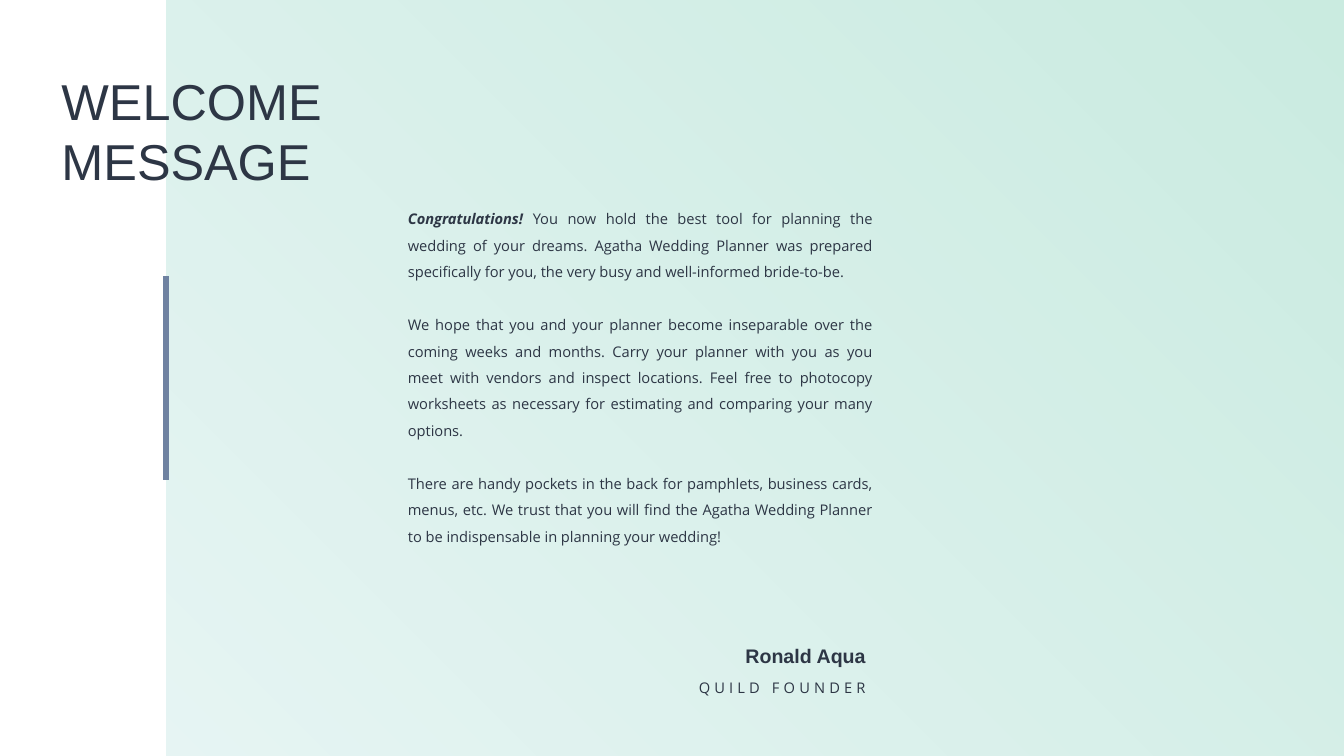
from dataclasses import dataclass

from lxml.etree import SubElement
from pptx import Presentation
from pptx.dml.color import RGBColor
from pptx.enum.shapes import MSO_CONNECTOR as Connector, MSO_SHAPE as Shape
from pptx.enum.text import PP_ALIGN as Align
from pptx.oxml.ns import qn
from pptx.slide import Slide
from pptx.util import Cm, Pt


@dataclass(frozen=True)
class Theme:
    ink: RGBColor = RGBColor(0x2D, 0x36, 0x45)
    accent: RGBColor = RGBColor(0x6F, 0x82, 0xA1)
    green: RGBColor = RGBColor(0x50, 0xBE, 0x99)
    mist: RGBColor = RGBColor(0xAD, 0xDD, 0xDA)
    panel_opacity: int = 30
    heading_font: str = "Arial"
    body_font: str = "Open Sans"
    title_size: float = 36
    name_size: float = 14
    body_size: float = 10.5
    rule_width: float = 4


@dataclass(frozen=True)
class TextBlock:
    left: float
    top: float
    width: float
    height: float
    paragraphs: tuple[str, ...]
    font: str
    size: float
    align: Align = Align.LEFT
    bold: bool = False
    lead: str = ""  # bold italic opening of the first paragraph
    line_spacing: float = 1.0
    gap: float = 0  # points between paragraphs
    tracking: float = 0  # points between letters


THEME = Theme()
SLIDE_WIDTH, SLIDE_HEIGHT = 33.87, 19.05
PANEL_LEFT = 4.19
RULE_TOP, RULE_BOTTOM = 6.96, 12.09
SIGNATURE_LEFT, SIGNATURE_WIDTH = 13.97, 8.1

TEXT_BLOCKS = (
    TextBlock(
        10.03, 4.95, 12.22, 8.94,
        (
            "You now hold the best tool for planning the wedding of your dreams. "
            "Agatha Wedding Planner was prepared specifically for you, the very busy "
            "and well-informed bride-to-be.",
            "We hope that you and your planner become inseparable over the coming weeks "
            "and months. Carry your planner with you as you meet with vendors and inspect "
            "locations. Feel free to photocopy worksheets as necessary for estimating and "
            "comparing your many options.",
            "There are handy pockets in the back for pamphlets, business cards, menus, etc. "
            "We trust that you will find the Agatha Wedding Planner to be indispensable in "
            "planning your wedding!",
        ),
        THEME.body_font, THEME.body_size, Align.JUSTIFY,
        lead="Congratulations! ", line_spacing=1.5, gap=18.9,
    ),
    TextBlock(1.3, 1.63, 11.07, 3.33, ("WELCOME", "MESSAGE"),
              THEME.heading_font, THEME.title_size),
    TextBlock(SIGNATURE_LEFT, 16.1, SIGNATURE_WIDTH, 0.86, ("Ronald Aqua",),
              THEME.heading_font, THEME.name_size, Align.RIGHT, bold=True),
    TextBlock(SIGNATURE_LEFT, 16.97, SIGNATURE_WIDTH, 0.74, ("QUILD FOUNDER",),
              THEME.body_font, THEME.body_size, Align.RIGHT, tracking=3),
)


def add_panel(page: Slide) -> None:
    panel = page.shapes.add_shape(Shape.RECTANGLE, Cm(PANEL_LEFT), 0,
                                  Cm(SLIDE_WIDTH - PANEL_LEFT), Cm(SLIDE_HEIGHT))
    panel.shadow.inherit = False
    panel.line.fill.background()
    panel.fill.gradient()
    panel.fill.gradient_angle = 225  # from top right to bottom left
    for stop, color, position in zip(panel.fill.gradient_stops,
                                     (THEME.green, THEME.mist), (0, 1)):
        stop.color.rgb = color
        stop.position = position
    # Transparency of both gradient stops
    for color_element in panel.fill._xPr.iter(qn("a:srgbClr")):
        SubElement(color_element, qn("a:alpha"), val=str(THEME.panel_opacity * 1000))


def add_rule(page: Slide) -> None:
    rule = page.shapes.add_connector(Connector.STRAIGHT, Cm(PANEL_LEFT), Cm(RULE_TOP),
                                     Cm(PANEL_LEFT), Cm(RULE_BOTTOM))
    rule.line.color.rgb = THEME.accent
    rule.line.width = Pt(THEME.rule_width)
    SubElement(rule._element.spPr, qn("a:effectLst"))


def add_text(page: Slide, block: TextBlock) -> None:
    box = page.shapes.add_textbox(Cm(block.left), Cm(block.top),
                                  Cm(block.width), Cm(block.height))
    frame = box.text_frame
    frame.word_wrap = True
    frame.text = "\n".join(block.paragraphs)
    if block.lead:
        first = frame.paragraphs[0]
        first.text = block.lead
        first.add_run().text = block.paragraphs[0]
    for index, para in enumerate(frame.paragraphs):
        para.alignment = block.align
        para.line_spacing = block.line_spacing
        para.space_before = Pt(block.gap if index else 0)
        for span in para.runs:
            is_lead = span.text == block.lead
            span.font.name = block.font
            span.font.size = Pt(block.size)
            span.font.color.rgb = THEME.ink
            span.font.bold = block.bold or is_lead
            span.font.italic = is_lead
            if block.tracking:
                span.font._element.set("spc", str(round(block.tracking * 100)))


def main() -> None:
    deck = Presentation()
    deck.slide_width, deck.slide_height = Cm(SLIDE_WIDTH), Cm(SLIDE_HEIGHT)
    page = deck.slides.add_slide(deck.slide_layouts[6])

    # Tinted panel behind everything
    add_panel(page)

    # Message, title and signature
    for block in TEXT_BLOCKS:
        add_text(page, block)

    # Accent rule on the panel edge
    add_rule(page)
    deck.save("out.pptx")


if __name__ == "__main__":
    main()
